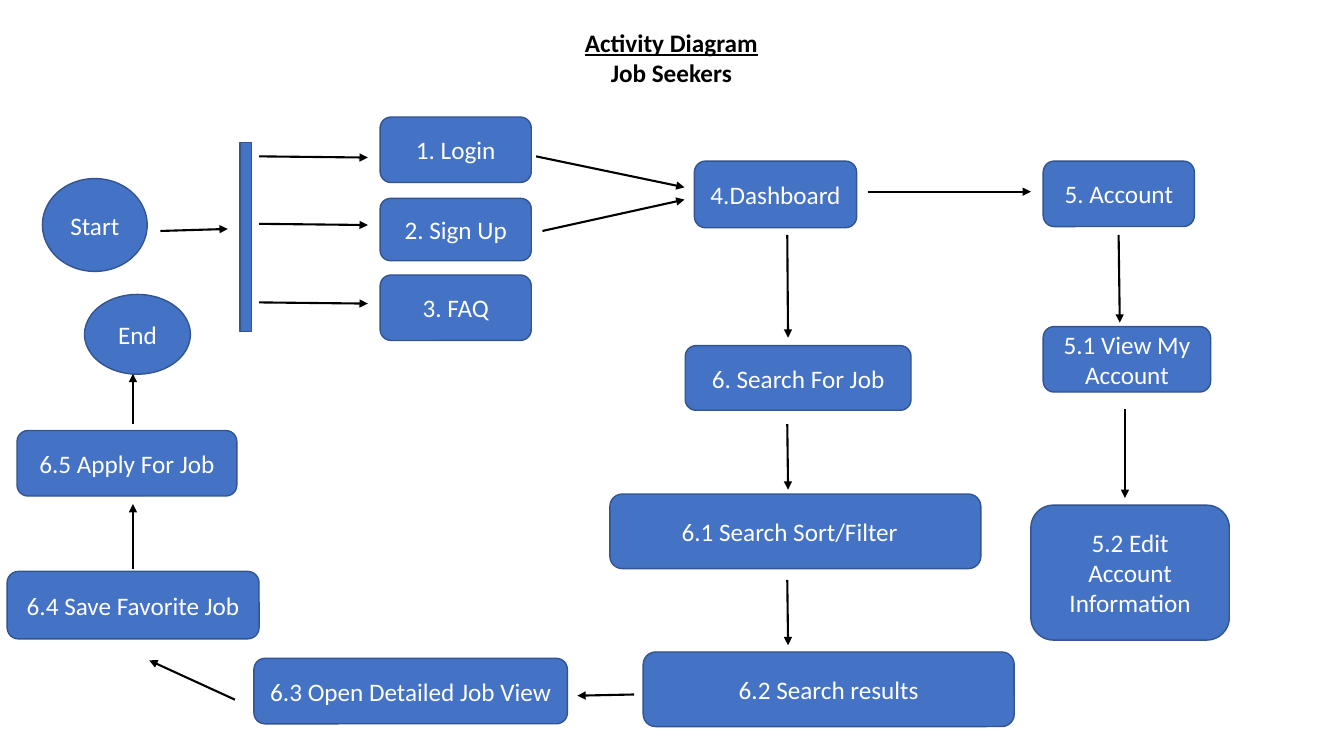
from lxml.etree import SubElement
from pptx import Presentation
from pptx.dml.color import RGBColor
from pptx.enum.shapes import MSO_CONNECTOR, MSO_SHAPE as Preset
from pptx.enum.text import MSO_ANCHOR, MSO_AUTO_SIZE, PP_ALIGN
from pptx.oxml.ns import qn
from pptx.util import Cm, Pt

COLORS = {"fill": "4472C4", "outline": "325491", "light": "FFFFFF", "dark": "000000"}

# label, left, top, width, height
STEPS = [
    ("1. Login", 9.58, 2.95, 3.81, 1.65),
    ("2. Sign Up", 9.58, 5, 3.81, 1.57),
    ("3. FAQ", 9.58, 6.93, 3.81, 1.65),
    ("4.Dashboard", 17.5, 4.06, 4.09, 1.68),
    ("5. Account", 26.29, 4.06, 3.81, 1.65),
    ("5.1 View My Account", 26.29, 8.23, 4.22, 1.65),
    ("5.2 Edit Account Information", 25.98, 12.73, 5, 3.4),
    ("6. Search For Job", 17.27, 8.71, 5.69, 1.63),
    ("6.1 Search Sort/Filter\u00a0\u00a0", 15.37, 12.45, 9.35, 1.88),
    ("6.2 Search results", 16.21, 16.43, 9.35, 1.88),
    ("6.3 Open Detailed\u00a0Job View", 6.4, 16.59, 7.9, 1.65),
    ("6.4 Save Favorite\u00a0Job", 0.18, 14.4, 6.35, 1.7),
    ("6.5 Apply For Job", 0.43, 10.85, 5.54, 1.65),
]
TERMINALS = [
    ("Start", 1.07, 4.5, 2.64, 2.34),
    ("End", 2.13, 7.42, 2.67, 2.01),
]
FORK_ROWS = [3.94, 5.64, 7.62]
# start x, start y, end x, end y
ARROWS = [
    (4.04, 5.82, 5.74, 5.77),      # start to fork
    (13.51, 3.94, 17.25, 4.72),    # login to dashboard
    (13.67, 5.82, 17.25, 5.03),    # sign up to dashboard
    (21.87, 4.83, 25.98, 4.83),    # dashboard to account
    (28.19, 5.92, 28.22, 8.13),    # account to 5.1
    (28.35, 10.31, 28.35, 12.55),  # 5.1 to 5.2
    (19.84, 5.92, 19.86, 8.51),    # dashboard to search
    (19.84, 10.69, 19.86, 12.34),  # search to 6.1
    (19.84, 14.61, 19.86, 16.26),  # 6.1 to 6.2
    (15.98, 17.5, 14.55, 17.53),   # 6.2 to 6.3
    (5.92, 17.63, 3.76, 16.64),    # 6.3 to 6.4
    (3.35, 14.33, 3.35, 12.7),     # 6.4 to 6.5
    (3.35, 10.69, 3.35, 9.42),     # 6.5 to end
]


def color(name):
    """Return the named colour."""
    return RGBColor.from_string(COLORS[name])


def style_paragraph(para, text, ink):
    """Write centred 18 pt text into a paragraph."""
    para.text = text
    para.alignment = PP_ALIGN.CENTER
    para.font.name = "Calibri"
    para.font.size = Pt(18)
    para.font.color.rgb = color(ink)


def add_node(page, preset, label, left, top, width, height):
    """Add a filled, outlined shape with a centred label."""
    node = page.shapes.add_shape(preset, Cm(left), Cm(top), Cm(width), Cm(height))
    node.shadow.inherit = False
    node.fill.solid()
    node.fill.fore_color.rgb = color("fill")
    node.line.color.rgb = color("outline")
    node.line.width = Pt(1)
    if label:
        node.text_frame.word_wrap = True
        node.text_frame.vertical_anchor = MSO_ANCHOR.MIDDLE
        style_paragraph(node.text_frame.paragraphs[0], label, "light")
    return node


def add_arrow(page, *ends):
    """Add a straight line with a triangle head at its end."""
    arrow = page.shapes.add_connector(MSO_CONNECTOR.STRAIGHT, *map(Cm, ends))
    arrow.line.color.rgb = color("dark")
    arrow.line.width = Pt(1.5)
    SubElement(arrow.line._get_or_add_ln(), qn("a:tailEnd"), type="triangle")
    SubElement(arrow._element.spPr, qn("a:effectLst"))


def add_title(page):
    """Add the two-line heading, its first line underlined."""
    box = page.shapes.add_textbox(Cm(13.11), Cm(0.56), Cm(7.62), Cm(2.57))
    frame = box.text_frame
    frame.word_wrap = True
    frame.auto_size = MSO_AUTO_SIZE.SHAPE_TO_FIT_TEXT
    heading, subheading = frame.paragraphs[0], frame.add_paragraph()
    style_paragraph(heading, "Activity Diagram", "dark")
    style_paragraph(subheading, "Job Seekers", "dark")
    heading.font.bold = subheading.font.bold = True
    heading.font.underline = True


def main():
    """Build the activity diagram and save it."""
    deck = Presentation()
    deck.slide_width, deck.slide_height = Cm(33.87), Cm(19.05)
    page = deck.slides.add_slide(deck.slide_layouts[6])
    add_title(page)
    fork = add_node(page, Preset.MATH_MINUS, "", 2.95, 5.36, 6.48, 1.22)
    fork.rotation = 90
    for step in STEPS:
        add_node(page, Preset.ROUNDED_RECTANGLE, *step)
    for terminal in TERMINALS:
        add_node(page, Preset.OVAL, *terminal)
    for row in FORK_ROWS:
        add_arrow(page, 6.53, row, 9.27, row + 0.03)
    for ends in ARROWS:
        add_arrow(page, *ends)
    deck.save("out.pptx")


main()
